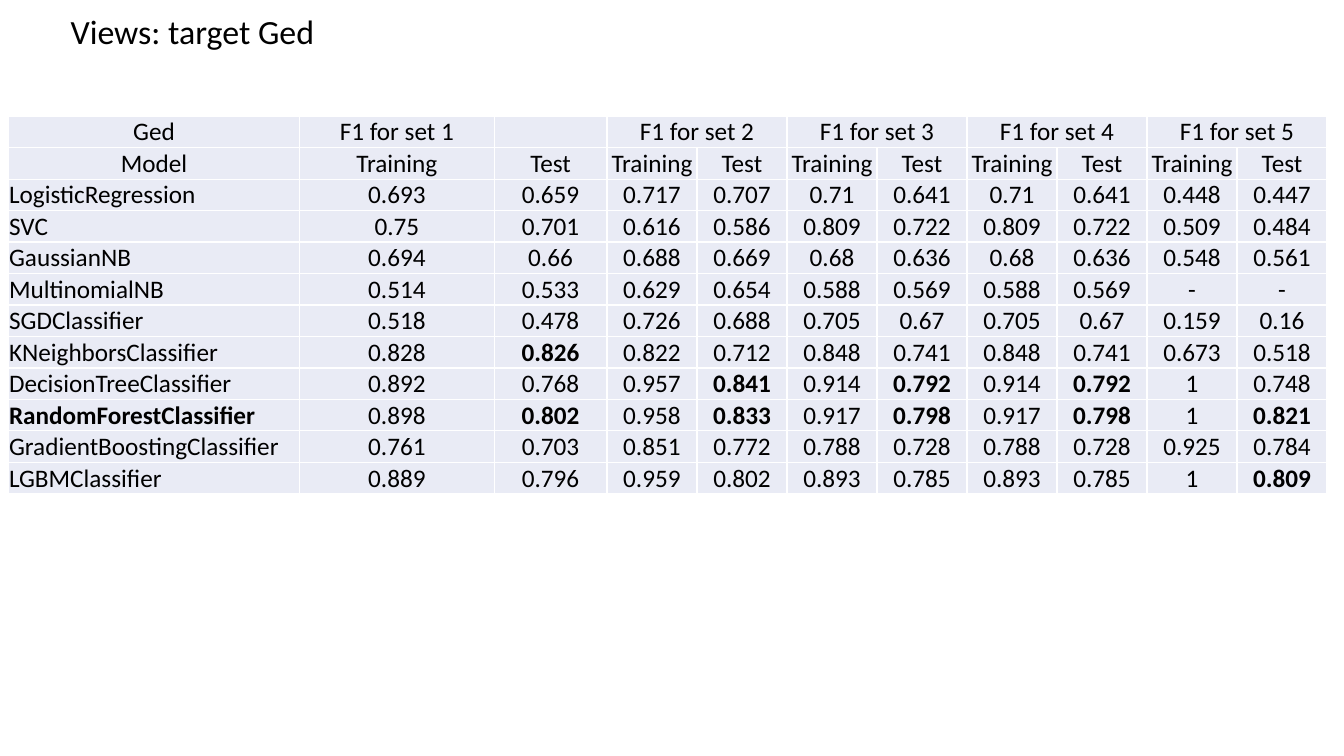
from typing import NamedTuple

from lxml.etree import SubElement
from pptx import Presentation
from pptx.dml.color import RGBColor
from pptx.enum.text import MSO_ANCHOR as Anchor, MSO_AUTO_SIZE as Fit, PP_ALIGN as Align
from pptx.oxml.ns import qn
from pptx.util import Pt

BLACK = RGBColor(0, 0, 0)
WHITE = RGBColor(255, 255, 255)
PALE = RGBColor(0xE9, 0xEB, 0xF5)
FACE = "Calibri"
WIDTHS = [208, 139, 80.6] + [64.3] * 8
HEIGHT = 22.2
SETS = 5


class Model(NamedTuple):
    name: str
    scores: str
    best: tuple = ()


MODELS = [
    Model("LogisticRegression", "0.693 0.659 0.717 0.707 0.71 0.641 0.71 0.641 0.448 0.447"),
    Model("SVC", "0.75 0.701 0.616 0.586 0.809 0.722 0.809 0.722 0.509 0.484"),
    Model("GaussianNB", "0.694 0.66 0.688 0.669 0.68 0.636 0.68 0.636 0.548 0.561"),
    Model("MultinomialNB", "0.514 0.533 0.629 0.654 0.588 0.569 0.588 0.569 - -"),
    Model("SGDClassifier", "0.518 0.478 0.726 0.688 0.705 0.67 0.705 0.67 0.159 0.16"),
    Model("KNeighborsClassifier",
          "0.828 0.826 0.822 0.712 0.848 0.741 0.848 0.741 0.673 0.518", (2,)),
    Model("DecisionTreeClassifier",
          "0.892 0.768 0.957 0.841 0.914 0.792 0.914 0.792 1 0.748", (4, 6, 8)),
    Model("RandomForestClassifier",
          "0.898 0.802 0.958 0.833 0.917 0.798 0.917 0.798 1 0.821", (0, 2, 4, 6, 8, 10)),
    Model("GradientBoostingClassifier",
          "0.761 0.703 0.851 0.772 0.788 0.728 0.788 0.728 0.925 0.784"),
    Model("LGBMClassifier",
          "0.889 0.796 0.959 0.802 0.893 0.785 0.893 0.785 1 0.809", (10,)),
]


def set_text(frame, text: str, size: float, align: Align, bold: bool = False) -> None:
    frame.text = text
    para = frame.paragraphs[0]
    para.alignment = align
    for run in para.runs:
        run.font.name = FACE
        run.font.size = Pt(size)
        run.font.bold = bold
        run.font.color.rgb = BLACK


def add_rules(cell) -> None:
    props = cell._tc.get_or_add_tcPr()
    for side in ("lnL", "lnR", "lnT", "lnB"):
        line = SubElement(props, qn(f"a:{side}"), w=str(Pt(1)))
        fill = SubElement(line, qn("a:solidFill"))
        SubElement(fill, qn("a:srgbClr"), val=str(WHITE))


def fill_cell(cell, text: str, align: Align, bold: bool) -> None:
    set_text(cell.text_frame, text, 18, align, bold)
    cell.vertical_anchor = Anchor.BOTTOM
    cell.margin_left = cell.margin_right = cell.margin_top = Pt(0.5)
    cell.margin_bottom = Pt(0)
    add_rules(cell)
    cell.fill.solid()
    cell.fill.fore_color.rgb = PALE


def add_title(slide) -> None:
    title = slide.shapes.title
    title.left, title.top = Pt(43.2), Pt(10.8)
    title.width, title.height = Pt(874), Pt(29.5)
    frame = title.text_frame
    set_text(frame, "Views: target Ged", 24.2, Align.LEFT)
    frame.paragraphs[0].line_spacing = 0.7
    frame.vertical_anchor = Anchor.MIDDLE
    frame.auto_size = Fit.NONE


def add_scores(slide) -> None:
    sets = ["Ged"]
    for num in range(1, SETS + 1):
        sets += [f"F1 for set {num}", ""]
    heads = ["Model"] + ["Training", "Test"] * SETS
    rows = [sets, heads] + [[m.name] + m.scores.split() for m in MODELS]
    best = [(), ()] + [m.best for m in MODELS]
    table = slide.shapes.add_table(
        len(rows), len(WIDTHS), Pt(6), Pt(83),
        Pt(sum(WIDTHS)), Pt(HEIGHT * len(rows))).table
    table.first_row = table.horz_banding = False
    for col, width in zip(table.columns, WIDTHS):
        col.width = Pt(width)
    for r, row in enumerate(rows):
        table.rows[r].height = Pt(HEIGHT)
        for c, text in enumerate(row):
            align = Align.LEFT if r > 1 and c == 0 else Align.CENTER
            fill_cell(table.cell(r, c), text, align, c in best[r])
    for c in range(3, len(WIDTHS), 2):
        table.cell(0, c).merge(table.cell(0, c + 1))


def main() -> None:
    deck = Presentation()
    deck.slide_width, deck.slide_height = Pt(960), Pt(540)
    slide = deck.slides.add_slide(deck.slide_layouts[5])
    add_title(slide)
    add_scores(slide)
    deck.save("out.pptx")


if __name__ == "__main__":
    main()
